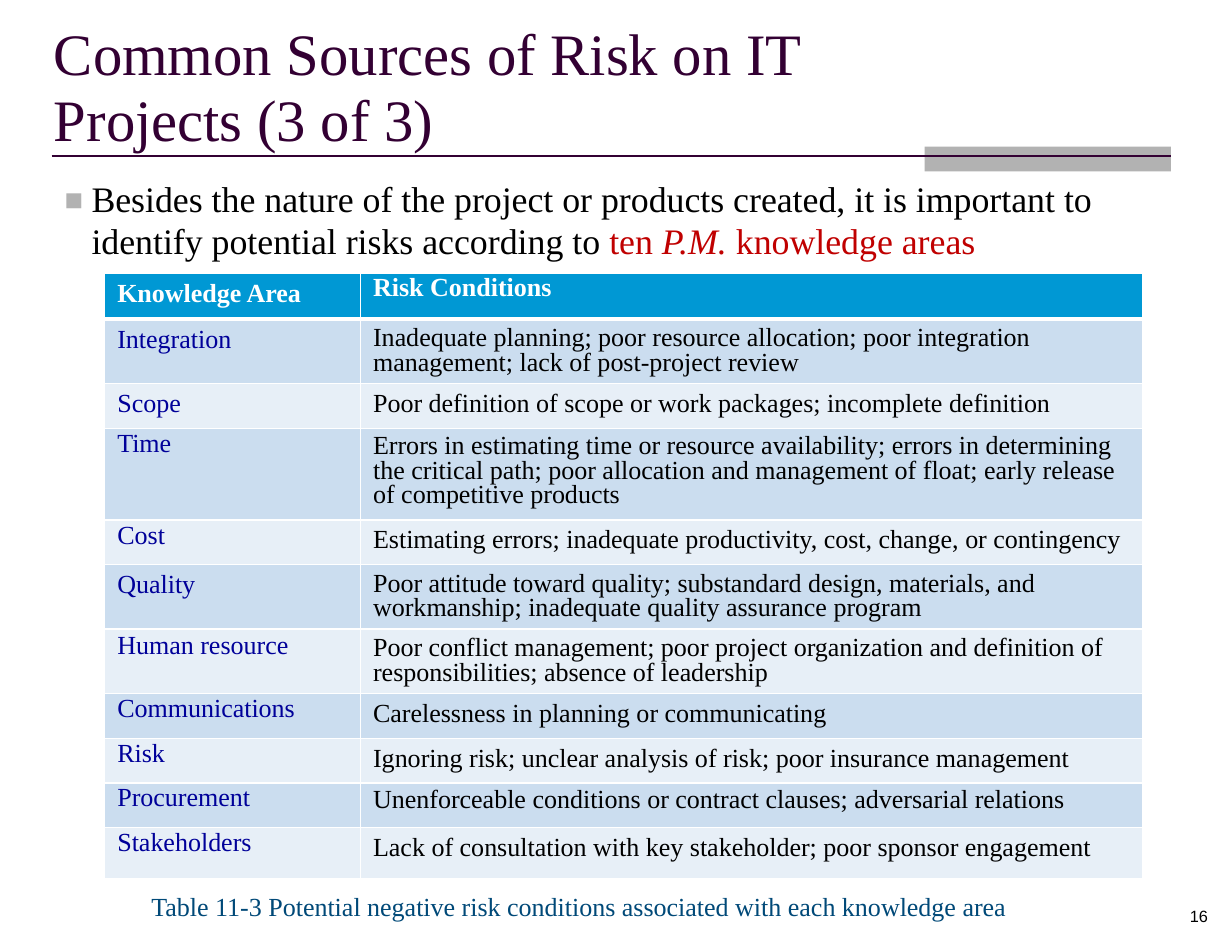
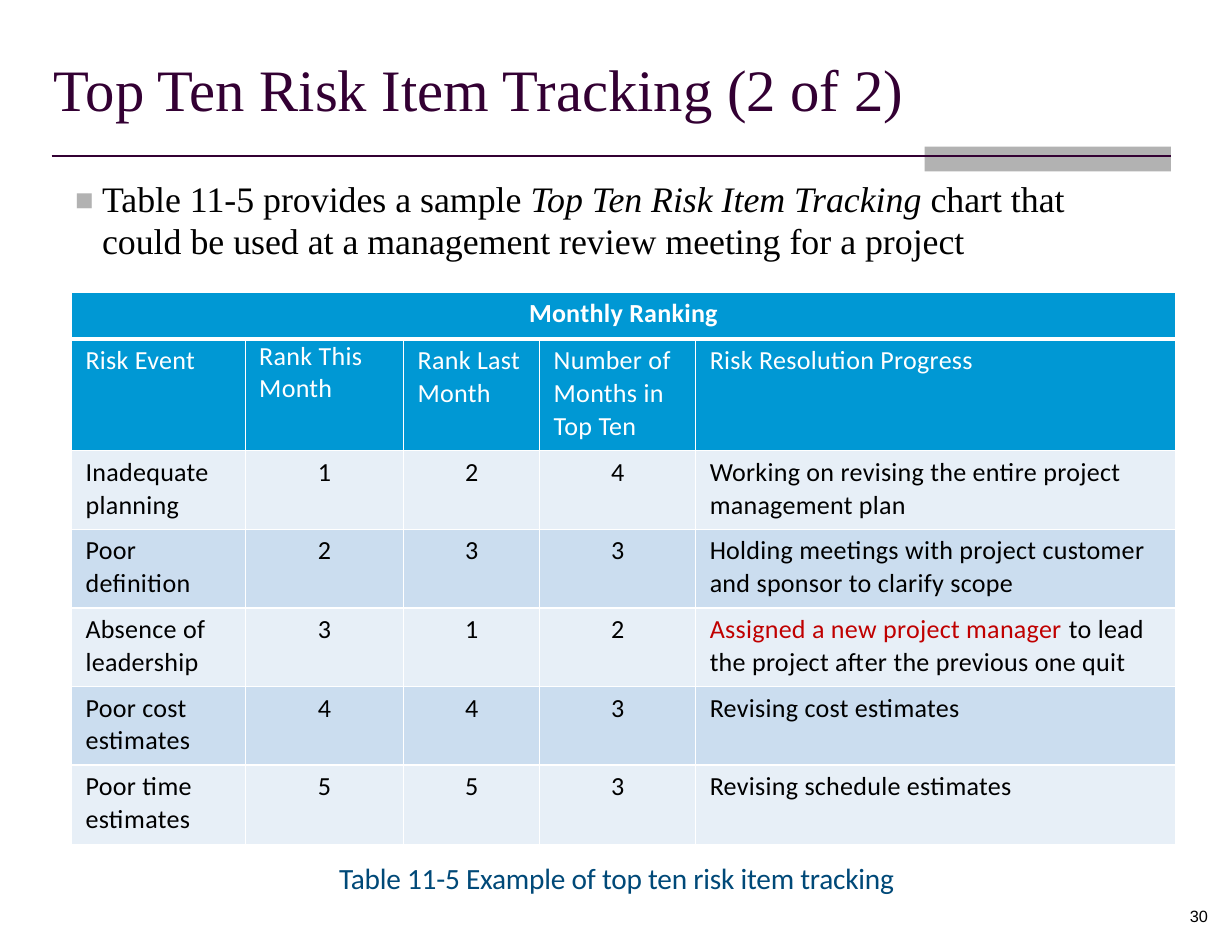
from pptx import Presentation
from pptx.dml.color import RGBColor
from pptx.enum.shapes import MSO_CONNECTOR, MSO_SHAPE
from pptx.enum.text import MSO_ANCHOR, MSO_AUTO_SIZE, PP_ALIGN
from pptx.oxml.xmlchemy import OxmlElement
from pptx.util import Inches, Pt

COLORS = {
    "title": "330033", "bar": "B2B2B2", "text": "000000", "accent": "C00000",
    "caption": "004978", "label": "000099", "header": "0098D4",
    "dark_band": "CBDDEF", "light_band": "E7EFF7", "white": "FFFFFF",
}
SERIF, SANS, PLAIN = "Times New Roman", "Calibri", "Arial"
TITLE = {"name": SERIF, "size": Pt(36), "color": "title"}
BODY = {"name": SERIF, "size": Pt(22), "color": "text"}
NUMBER = {"name": PLAIN, "size": Pt(10), "color": "text"}
RED = {"color": "accent"}
ITALIC = {"italic": True}


class RiskDeck:
    """Holds the shared style and the current page of the risk deck."""

    def __init__(self):
        self.deck = Presentation()
        self.deck.slide_width, self.deck.slide_height = Inches(10.5), Inches(8)
        self.page = None

    def add_page(self, number):
        self.page = self.deck.slides.add_slide(self.deck.slide_layouts[1])
        bar = self.page.shapes.add_shape(
            MSO_SHAPE.RECTANGLE, Inches(7.88), Inches(1.25), Inches(2.1), Inches(0.21))
        bar.shadow.inherit = False
        bar.fill.solid()
        bar.fill.fore_color.rgb = self.color("bar")
        bar.line.fill.background()
        rule = self.page.shapes.add_connector(
            MSO_CONNECTOR.STRAIGHT, Inches(0.44), Inches(1.33), Inches(9.98), Inches(1.33))
        rule.line.color.rgb = self.color("title")
        rule.line.width = Pt(1.5)
        rule._element.spPr.append(OxmlElement("a:effectLst"))
        self.text_box(str(number), (10.14, 7.72, 0.25, 0.17), NUMBER)

    def color(self, name):
        return RGBColor.from_string(COLORS[name])

    def set_text(self, frame, spans, style, spacing=1.0, align=PP_ALIGN.LEFT):
        para = frame.paragraphs[0]
        for key, value in {"alignment": align, "line_spacing": spacing,
                           "space_before": Pt(0), "space_after": Pt(0)}.items():
            setattr(para, key, value)
        for text, changes in [(spans, {})] if isinstance(spans, str) else spans:
            span = para.add_run()
            span.text = text
            for key, value in {**style, **changes}.items():
                if key == "color":
                    span.font.color.rgb = self.color(value)
                elif key == "tracking":
                    span._r.get_or_add_rPr().set("spc", str(value))
                else:
                    setattr(span.font, key, value)
        return para

    def place(self, box, area):
        for key, value in zip(("left", "top", "width", "height"), area):
            setattr(box, key, Inches(value))
        frame = box.text_frame
        for key, value in {"margin_left": 0, "margin_top": 0, "margin_right": 0,
                           "margin_bottom": 0, "word_wrap": True,
                           "auto_size": MSO_AUTO_SIZE.NONE,
                           "vertical_anchor": MSO_ANCHOR.TOP}.items():
            setattr(frame, key, value)
        return frame

    def text_box(self, text, area, style):
        box = self.page.shapes.add_textbox(0, 0, 0, 0)
        self.set_text(self.place(box, area), text, style)

    def title(self, text, area):
        self.set_text(self.place(self.page.shapes.title, area), text, TITLE, 0.93)

    def bullet(self, spans, area):
        frame = self.place(self.page.placeholders[1], area)
        para = self.set_text(frame, spans, BODY, 0.97)
        properties = para._p.get_or_add_pPr()
        properties.set("marL", str(Inches(0.25)))
        properties.set("indent", str(Inches(-0.23)))
        color = OxmlElement("a:buClr")
        shade = OxmlElement("a:srgbClr")
        shade.set("val", COLORS["bar"])
        color.append(shade)
        properties.append(color)
        for tag, key, value in (("a:buSzPct", "val", "86000"),
                                ("a:buFont", "typeface", PLAIN),
                                ("a:buChar", "char", "■")):
            mark = OxmlElement(tag)
            mark.set(key, value)
            properties.append(mark)

    def table(self, left, top, widths, heights):
        frame = self.page.shapes.add_table(
            len(heights), len(widths), Inches(left), Inches(top),
            Inches(sum(widths)), Inches(sum(heights)))
        for column, width in zip(frame.table.columns, widths):
            column.width = Inches(width)
        for row, height in zip(frame.table.rows, heights):
            row.height = Inches(height)
        return frame.table

    def cell(self, cell, spans, fill, style, pads, spacing, edges=(1, 1),
             align=PP_ALIGN.LEFT):
        left, top = pads
        for key, value in {"margin_left": left, "margin_top": top,
                           "margin_right": 0.08, "margin_bottom": 0}.items():
            setattr(cell, key, Inches(value))
        cell.vertical_anchor = MSO_ANCHOR.TOP
        properties = cell._tc.get_or_add_tcPr()
        for side, width in zip("LRTB", (1, 1, *edges)):
            border = OxmlElement(f"a:ln{side}")
            border.set("w", str(Pt(width)))
            paint, shade = OxmlElement("a:solidFill"), OxmlElement("a:srgbClr")
            shade.set("val", COLORS["white"])
            paint.append(shade)
            border.append(paint)
            properties.append(border)
        cell.fill.solid()
        cell.fill.fore_color.rgb = self.color(fill)
        if spans:
            self.set_text(cell.text_frame, spans, style, spacing, align)


def header_edges(row):
    return {0: (1, 3), 1: (3, 1)}.get(row, (1, 1))


def add_sources(risk):
    risk.add_page(16)
    risk.title("Common Sources of Risk on IT Projects (3 of 3)", (0.46, 0.2, 7.9, 1.08))
    risk.bullet([
        ("Besides the nature of the project or products created, it is important to "
         "identify potential risks according to ", {}),
        ("ten ", RED), ("P.M.", {**RED, **ITALIC}), (" knowledge areas", RED),
    ], (0.53, 1.53, 8.95, 0.71))
    rows = [
        (0.39, "Knowledge Area", 0.08, "Risk Conditions", 0.03),
        (0.55, "Integration", 0.08, "Inadequate planning; poor resource allocation; "
         "poor integration management; lack of post-project review", 0.07),
        (0.38, "Scope", 0.08,
         "Poor definition of scope or work packages; incomplete definition", 0.08),
        (0.78, "Time", 0.04, "Errors in estimating time or resource availability; "
         "errors in determining the critical path; poor allocation and management "
         "of float; early release of competitive products", 0.06),
        (0.38, "Cost", 0.04,
         "Estimating errors; inadequate productivity, cost, change, or contingency", 0.08),
        (0.55, "Quality", 0.08, "Poor attitude toward quality; substandard design, "
         "materials, and workmanship; inadequate quality assurance program", 0.07),
        (0.55, "Human resource", 0.05, "Poor conflict management; poor project "
         "organization and definition of responsibilities; absence of leadership", 0.07),
        (0.38, "Communications", 0.04, "Carelessness in planning or communicating", 0.08),
        (0.38, "Risk", 0.04,
         "Ignoring risk; unclear analysis of risk; poor insurance management", 0.08),
        (0.38, "Procurement", 0.04,
         "Unenforceable conditions or contract clauses; adversarial relations", 0.05),
        (0.44, "Stakeholders", 0.04,
         "Lack of consultation with key stakeholder; poor sponsor engagement", 0.08),
    ]
    table = risk.table(0.89, 2.33, (2.18, 6.67), [row[0] for row in rows])
    for index, (_, area, area_pad, conditions, conditions_pad) in enumerate(rows):
        fill = "dark_band" if index % 2 else "light_band"
        colors = ("label", "text")
        if index == 0:
            fill, colors = "header", ("white", "white")
        texts = ((area, area_pad), (conditions, conditions_pad))
        for column, (text, pad) in enumerate(texts):
            style = {"name": SERIF, "size": Pt(16), "bold": index == 0,
                     "color": colors[column]}
            risk.cell(table.cell(index, column), text, fill, style,
                      (0.11, pad), 0.84, header_edges(index))
    risk.text_box(
        "Table 11-3 Potential negative risk conditions associated with each knowledge area",
        (1.29, 7.59, 7.6, 0.26), {"name": SERIF, "size": Pt(16), "color": "caption"})


def add_tracking(risk):
    risk.add_page(30)
    risk.title("Top Ten Risk Item Tracking (2 of 2)", (0.46, 0.5, 8, 0.6))
    risk.bullet([
        ("Table 11-5 provides a sample ", {}),
        ("Top Ten Risk Item Tracking", ITALIC),
        (" chart that could be used at a management review meeting for a project", {}),
    ], (0.62, 1.53, 8.73, 0.71))
    rows = [
        ("Monthly Ranking", "", "", "", ""),
        ("Risk Event", "Rank This Month", "Rank Last Month",
         "Number of Months in Top Ten", "Risk Resolution Progress"),
        ("Inadequate planning", "1", "2", "4",
         "Working on revising the entire project management plan"),
        ("Poor definition", "2", "3", "3",
         "Holding meetings with project customer and sponsor to clarify scope"),
        ("Absence of leadership", "3", "1", "2",
         [("Assigned a new project manager", RED),
          (" to lead the project after the previous one quit", {})]),
        ("Poor cost estimates", "4", "4", "3", "Revising cost estimates"),
        ("Poor time estimates", "5", "5", "3", "Revising schedule estimates"),
    ]
    heights = [0.4, 0.95] + [0.67] * 4 + [0.68]
    table = risk.table(0.61, 2.49, (1.48, 1.35, 1.16, 1.33, 4.09), heights)
    table.cell(0, 0).merge(table.cell(0, 4))
    for index, row in enumerate(rows):
        heading = index < 2
        fill = "header" if heading else "dark_band" if index % 2 else "light_band"
        style = {"name": SANS, "size": Pt(16), "bold": index == 0, "tracking": 20,
                 "color": "white" if heading else "text"}
        for column, text in enumerate(row):
            centred = index == 0 or (not heading and 0 < column < 4)
            pads = (0.08 if centred else 0.12, 0 if (index, column) == (1, 1) else 0.04)
            risk.cell(table.cell(index, column), text, fill, style, pads, 1.03,
                      header_edges(index),
                      PP_ALIGN.CENTER if centred else PP_ALIGN.LEFT)
    risk.text_box("Table 11-5 Example of top ten risk item tracking",
                  (2.89, 7.33, 5.2, 0.3),
                  {"name": SANS, "size": Pt(18), "color": "caption", "tracking": -15})


def main():
    risk = RiskDeck()
    add_sources(risk)
    add_tracking(risk)
    risk.deck.save("out.pptx")


if __name__ == "__main__":
    main()
